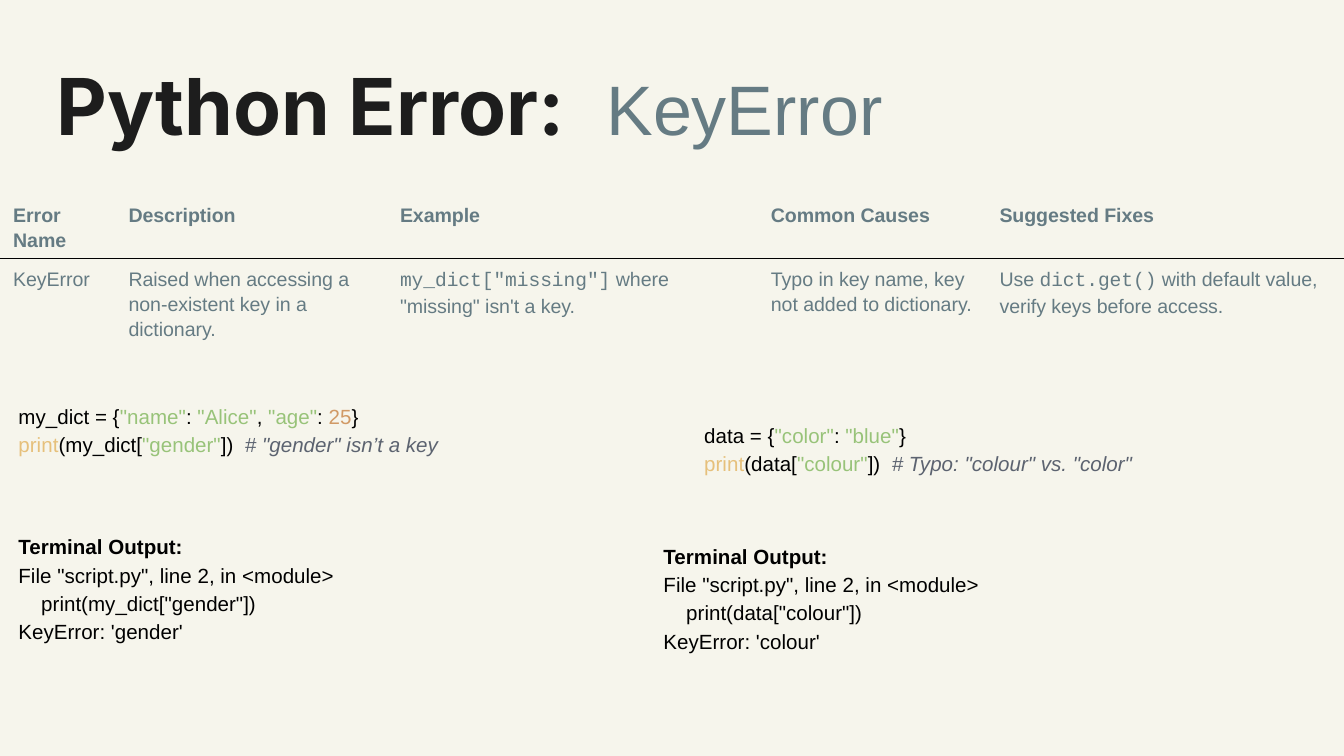
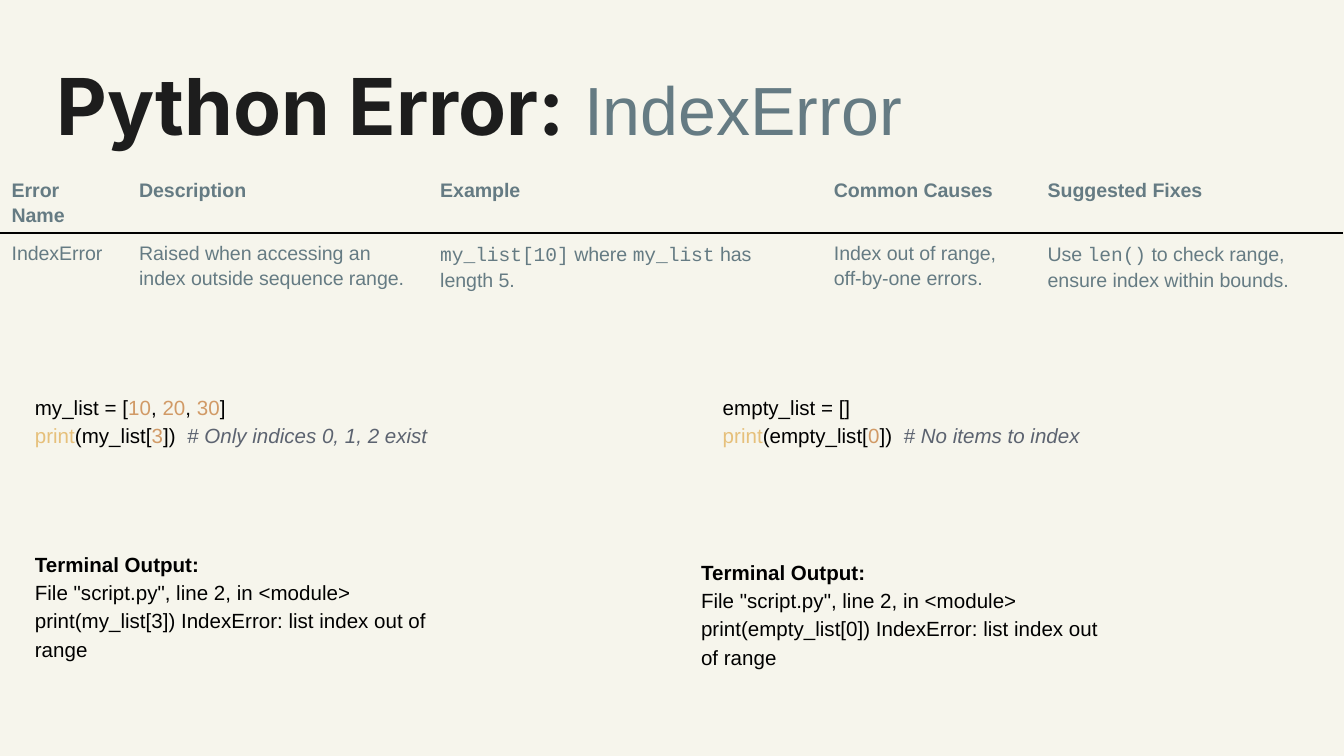
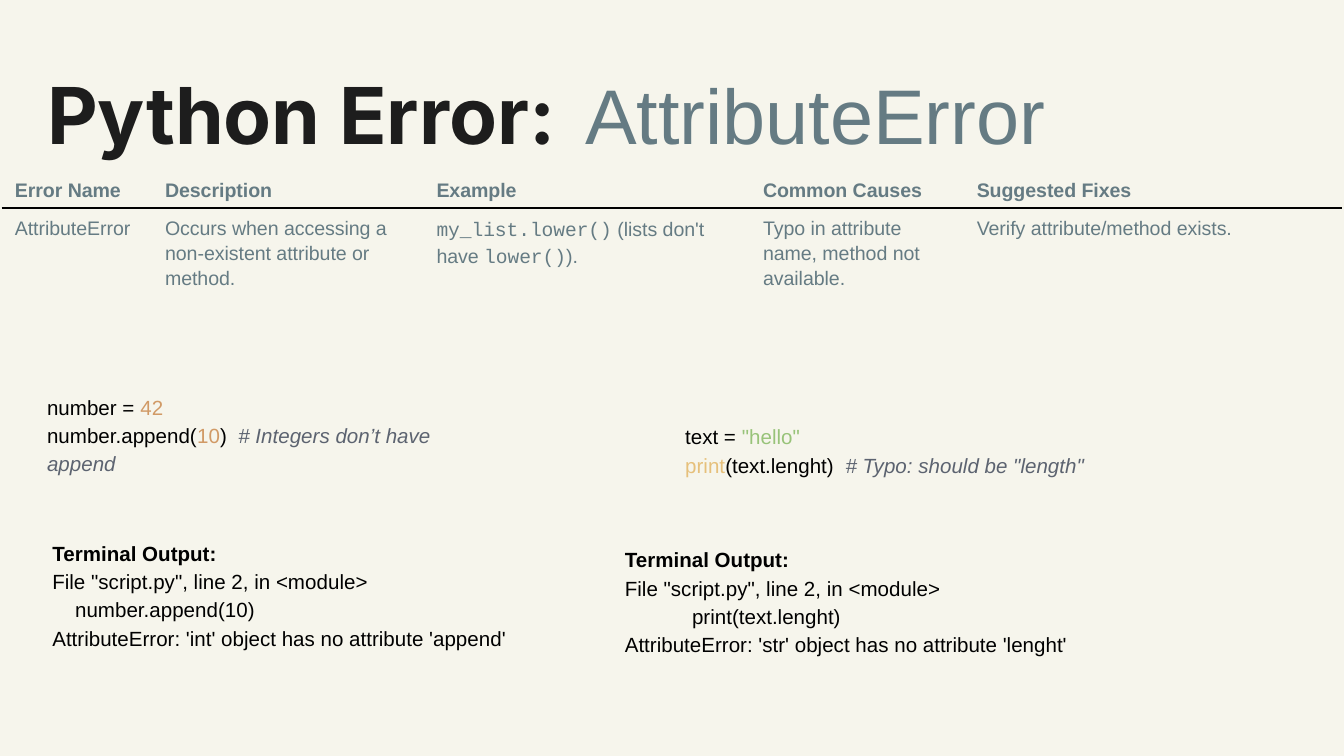
"""Build three slides that explain common Python errors."""
from dataclasses import dataclass

from lxml.etree import SubElement
from pptx import Presentation
from pptx.dml.color import RGBColor
from pptx.enum.text import MSO_ANCHOR as Anchor, MSO_AUTO_SIZE as AutoSize, PP_ALIGN as Align
from pptx.oxml import parse_xml
from pptx.oxml.ns import nsdecls, qn
from pptx.util import Cm, Pt


@dataclass(frozen=True)
class Role:
    color: str
    size: float = 11
    face: str = "Arial"
    bold: bool = False
    italic: bool = False


@dataclass(frozen=True)
class Theme:
    paper: str = "F6F5EC"
    rule: str = "000000"
    rule_width: float = 0.75
    leading: float = 1.15
    cell_gap: float = 8
    table_style: str = "{2D5ABB26-0587-4C30-8999-92F81FD0307C}"
    title: Role = Role("1D1D1D", 42, "Inter", bold=True)
    error: Role = Role("657B83", 37.5)
    head: Role = Role("657B83", 10.5, bold=True)
    cell: Role = Role("657B83", 10.5)
    mono: Role = Role("657B83", 10.5, "Courier New")
    code: Role = Role("000000")
    label: Role = Role("000000", bold=True)
    string: Role = Role("98C379")
    number: Role = Role("D19A66")
    call: Role = Role("E6C07B")
    note: Role = Role("5C6370", italic=True)


THEME = Theme()
HEADINGS = ["Error Name", "Description", "Example", "Common Causes", "Suggested Fixes"]
TRACEBACK = 'File "script.py", line 2, in <module>'


def mono(text):
    return text, THEME.mono


def string(text):
    return f'"{text}"', THEME.string


def number(text):
    return text, THEME.number


def note(text):
    return f"# {text}", THEME.note


PRINT = ("print", THEME.call)


class ErrorDeck:
    def __init__(self, theme):
        self.theme = theme
        self.deck = Presentation()
        self.deck.slide_width, self.deck.slide_height = Cm(25.4), Cm(14.29)
        fill = self.deck.slide_master.background.fill
        fill.solid()
        fill.fore_color.rgb = RGBColor.from_string(theme.paper)
        self.page = None

    def add_page(self):
        self.page = self.deck.slides.add_slide(self.deck.slide_layouts[5])

    def set_font(self, font, role, size=None):
        font.name, font.size = role.face, Pt(size or role.size)
        font.bold, font.italic = role.bold, role.italic
        font.color.rgb = RGBColor.from_string(role.color)

    def fill_para(self, para, content, base):
        para.line_spacing = self.theme.leading
        pieces = [content] if isinstance(content, str) else content
        for piece in pieces:
            text, role = (piece, base) if isinstance(piece, str) else piece
            span = para.add_run()
            span.text = text
            self.set_font(para.font if len(pieces) == 1 else span.font, role)

    def add_title(self, error, size, left=1.07, top=1.07, gap_size=42, gap_extra=0):
        box = self.page.shapes.title
        box.left, box.top, box.width, box.height = Cm(left), Cm(top), Cm(24.33), Cm(2.36)
        frame = box.text_frame
        frame.margin_left = frame.margin_top = frame.margin_right = frame.margin_bottom = 0
        frame.word_wrap, frame.auto_size = True, AutoSize.NONE
        frame.vertical_anchor = Anchor.TOP
        para = frame.paragraphs[0]
        para.alignment = Align.LEFT
        heading, gap, name = para.add_run(), para.add_run(), para.add_run()
        heading.text, gap.text, name.text = "Python Error:", " ", error
        self.set_font(heading.font, self.theme.title)
        self.set_font(gap.font, self.theme.title, gap_size)
        self.set_font(name.font, self.theme.error, size)
        gap._r.get_or_add_rPr().set("spc", str(gap_extra * 100))

    def add_text(self, place, lines, heading=None, indents=None):
        box = self.page.shapes.add_textbox(*(Cm(length) for length in place))
        frame = box.text_frame
        frame.margin_left = frame.margin_top = frame.margin_right = frame.margin_bottom = Cm(0.25)
        frame.word_wrap, frame.auto_size = True, AutoSize.SHAPE_TO_FIT_TEXT
        rows = [(line, self.theme.code) for line in lines]
        if heading:
            rows.insert(0, (heading, self.theme.label))
        for index, (line, role) in enumerate(rows):
            para = frame.add_paragraph() if index else frame.paragraphs[0]
            if indents and index in indents:
                para._p.get_or_add_pPr().set("indent", str(Cm(indents[index])))
            self.fill_para(para, line, role)

    def add_output(self, place, lines, indents=None):
        self.add_text(place, lines, "Terminal Output:", indents)

    def rule_cell(self, cell, side):
        props = cell._tc.get_or_add_tcPr()
        line = parse_xml(f'<a:{side} {nsdecls("a")} w="{Pt(self.theme.rule_width)}"/>')
        solid = SubElement(line, qn("a:solidFill"))
        SubElement(solid, qn("a:srgbClr"), val=self.theme.rule)
        props.insert(0, line)

    def add_table(self, left, top, widths, heights, details):
        frame = self.page.shapes.add_table(
            2, len(widths), Cm(left), Cm(top), Cm(sum(widths)), Cm(sum(heights)))
        table = frame.table
        table.first_row = table.horz_banding = False
        table._tbl.tblPr.find(qn("a:tableStyleId")).text = self.theme.table_style
        for column, width in zip(table.columns, widths):
            column.width = Cm(width)
        rows = [(HEADINGS, self.theme.head, "lnB"), (details, self.theme.cell, "lnT")]
        for row, height, (contents, role, side) in zip(table.rows, heights, rows):
            row.height = Cm(height)
            for cell, content in zip(row.cells, contents):
                cell.fill.background()
                self.rule_cell(cell, side)
                cell.margin_left = cell.margin_right = Cm(0.25)
                cell.margin_top = cell.margin_bottom = Cm(0.13)
                para = cell.text_frame.paragraphs[0]
                para.space_after = Pt(self.theme.cell_gap)
                self.fill_para(para, content, role)

    def save(self):
        self.deck.save("out.pptx")


def build_key_error(show):
    show.add_page()
    show.add_title("KeyError", 37.5, gap_extra=12)
    show.add_table(0, 3.68, [2.18, 5.13, 7.01, 4.32, 6.76], [1.17, 1.57], [
        "KeyError",
        "Raised when accessing a non-existent key in a dictionary.",
        [mono('my_dict["missing"]'), ' where "missing" isn\'t a key.'],
        "Typo in key name, key not added to dictionary.",
        ["Use ", mono("dict.get()"), " with default value, verify keys before access."],
    ])
    show.add_text((0.1, 7.32, 10.97, 1.52), [
        ["my_dict = {", string("name"), ": ", string("Alice"), ", ",
         string("age"), ": ", number("25"), "}"],
        [PRINT, "(my_dict[", string("gender"), "])  ", note('"gender" isn’t a key')],
    ])
    show.add_output((0.1, 9.78, 11.23, 2.62), [
        TRACEBACK, '    print(my_dict["gender"])', "KeyError: 'gender'"])
    show.add_text((13.06, 7.67, 10.34, 1.52), [
        ["data = {", string("color"), ": ", string("blue"), "}"],
        [PRINT, "(data[", string("colour"), "])  ", note('Typo: "colour" vs. "color"')],
    ])
    show.add_output((12.29, 9.96, 11.23, 2.67), [
        TRACEBACK, '    print(data["colour"])', "KeyError: 'colour'"])


def build_index_error(show):
    show.add_page()
    show.add_title("IndexError", 36.5)
    show.add_table(-0.03, 3.2, [2.41, 5.69, 7.44, 4.04, 5.84], [1.17, 1.57], [
        "IndexError",
        "Raised when accessing an index outside sequence range.",
        [mono("my_list[10]"), " where ", mono("my_list"), " has length 5."],
        "Index out of range, off-by-one errors.",
        ["Use ", mono("len()"), " to check range, ensure index within bounds."],
    ])
    show.add_text((0.41, 7.14, 8.33, 1.52), [
        ["my_list = [", number("10"), ", ", number("20"), ", ", number("30"), "]"],
        [PRINT, "(my_list[", number("3"), "])  ", note("Only indices 0, 1, 2 exist")],
    ])
    show.add_text((13.41, 7.14, 8.33, 1.52), [
        "empty_list = []",
        [PRINT, "(empty_list[", number("0"), "])  ", note("No items to index")],
    ])
    for left, top, item in [(0.41, 10.11, "my_list[3]"), (13, 10.26, "empty_list[0]")]:
        show.add_output((left, top, 8.33, 2.62), [
            f"{TRACEBACK} print({item}) IndexError: list index out of range"])


def build_attribute_error(show):
    show.add_page()
    show.add_title("AttributeError", 41.5, left=0.89, top=0.41, gap_size=66)
    show.add_table(0.03, 3.2, [2.84, 5.13, 6.17, 4.04, 7.16], [0.71, 1.68], [
        "AttributeError",
        "Occurs when accessing a non-existent attribute or method.",
        [mono("my_list.lower()"), " (lists don't have ", mono("lower()"), ")."],
        "Typo in attribute name, method not available.",
        "Verify attribute/method exists.",
    ])
    show.add_text((0.64, 7.14, 8.33, 2.13), [
        ["number = ", number("42")],
        ["number.append(", number("10"), ")  ", note("Integers don’t have append")],
    ])
    show.add_output((0.74, 9.9, 10.82, 2.64), [
        TRACEBACK, "    number.append(10)",
        "AttributeError: 'int' object has no attribute 'append'"])
    show.add_text((12.7, 7.7, 11.51, 1.6), [
        ["text = ", string("hello")],
        [PRINT, "(text.lenght)  ", note('Typo: should be "length"')],
    ])
    show.add_output((11.56, 10.03, 13.67, 2.62), [
        TRACEBACK, "print(text.lenght)",
        "AttributeError: 'str' object has no attribute 'lenght'"], indents={2: 1.27})


def main():
    show = ErrorDeck(THEME)
    build_key_error(show)
    build_index_error(show)
    build_attribute_error(show)
    show.save()


if __name__ == "__main__":
    main()
